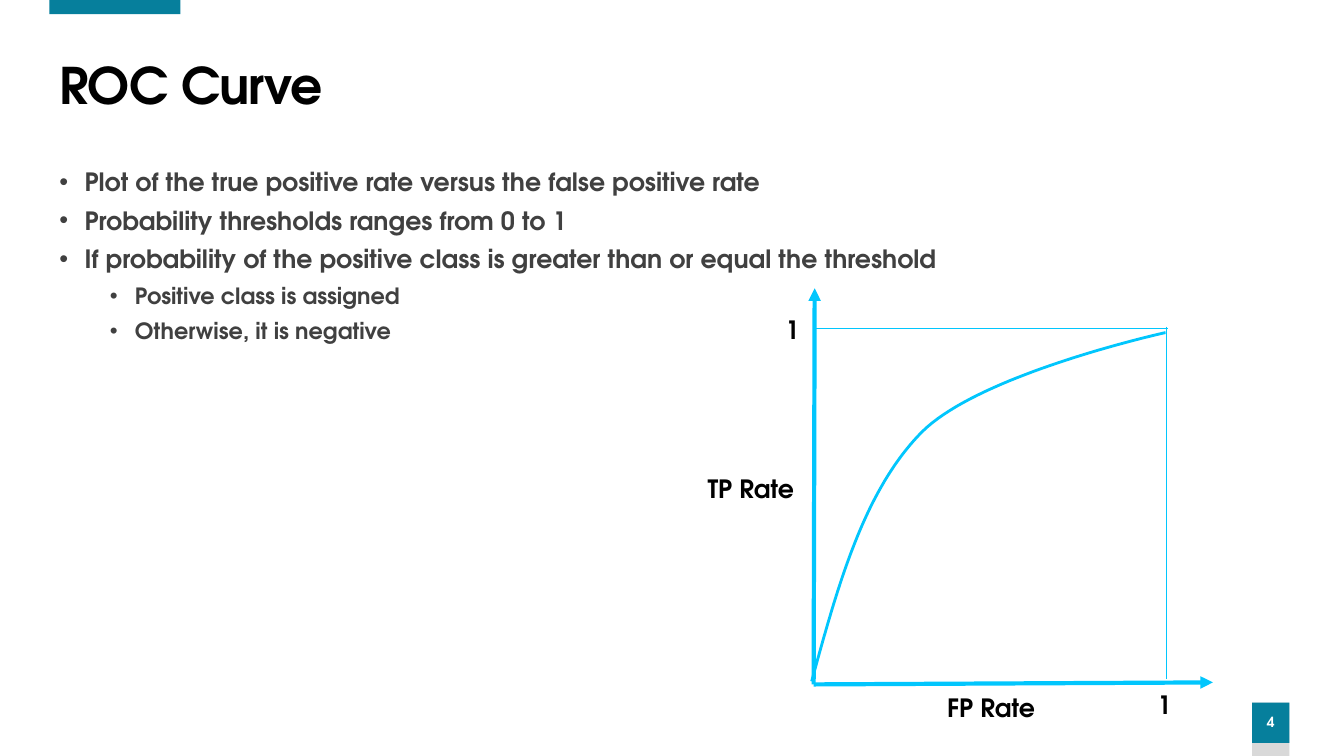
from lxml import etree
from pptx import Presentation
from pptx import util as u
from pptx.dml.color import RGBColor
from pptx.enum import shapes, text
from pptx.oxml import ns

COLORS = {"teal": "067F9C", "gray": "D9D9D9", "cyan": "01C6FD",
          "black": "000000", "body": "404040", "white": "FFFFFF"}
FONT = "TeX Gyre Adventor"
TITLE = "ROC Curve"
PAGE_NUMBER = "4"
BULLETS = [
    (0, "Plot of the true positive rate versus the false positive rate"),
    (0, "Probability thresholds ranges from 0 to 1"),
    (0, "If probability of the positive class is greater than or equal the threshold"),
    (1, "Positive class is assigned"),
    (1, "Otherwise, it is negative"),
]
LEVELS = [{"size": 18, "indent": 0.25}, {"size": 16, "indent": 0.75}]
BARS = [
    ((12.42, 6.97, 0.37, 0.53), "gray"),
    ((0.49, 0, 1.3, 0.14), "teal"),
]
NUMBER_AREA = (12.42, 6.97, 0.37, 0.4)
AXES = [((8.07, 6.79), (8.08, 2.86)), ((8.07, 6.79), (12.03, 6.77))]
LIMITS = [((8.08, 3.26), (11.58, 3.26)), ((11.57, 3.24), (11.57, 6.74))]
LABELS = [
    ("TP Rate", (6.92, 4.65, 1.16, 0.4), "LEFT"),
    ("FP Rate", (8.96, 6.82, 1.74, 0.4), "CENTER"),
    ("1", (11.38, 6.79, 0.65, 0.4), "LEFT"),
    ("1", (7.69, 3.07, 0.65, 0.4), "LEFT"),
]
ROC_SEGMENTS = [
    ((8.05, 6.76), (8.31, 5.81), (8.57, 4.86), (9.15, 4.28)),
    ((9.15, 4.28), (9.74, 3.7), (11.56, 3.3), (11.56, 3.3)),
]
STEPS = 40


def inches(values):
    return [u.Inches(value) for value in values]


def color(name):
    return RGBColor.from_string(COLORS[name])


def write(para, words, size, tint="black", **formats):
    for name, value in formats.items():
        setattr(para, name, value)
    span = para.add_run()
    span.text = words
    for name, value in {"name": FONT, "size": u.Pt(size), "bold": True}.items():
        setattr(span.font, name, value)
    span.font.color.rgb = color(tint)
    return span


def add_text_box(area, anchor="TOP"):
    box = page.shapes.add_textbox(*inches(area))
    box.text_frame.word_wrap = True
    box.text_frame.vertical_anchor = text.MSO_ANCHOR[anchor]
    return box.text_frame


def add_bar(area, fill):
    bar = page.shapes.add_shape(shapes.MSO_SHAPE.RECTANGLE, *inches(area))
    bar.shadow.inherit = False
    bar.fill.solid()
    bar.fill.fore_color.rgb = color(fill)
    bar.line.fill.background()
    return bar


def add_line(start, end, width, arrow=False):
    line = page.shapes.add_connector(
        shapes.MSO_CONNECTOR.STRAIGHT, *inches(start + end))
    line.line.color.rgb = color("cyan")
    line.line.width = u.Pt(width)
    if arrow:
        etree.SubElement(line.line._get_or_add_ln(), ns.qn("a:tailEnd"), type="triangle")
    etree.SubElement(line._element.spPr, ns.qn("a:effectLst"))


def bezier(points, t):
    weights = ((1 - t) ** 3, 3 * t * (1 - t) ** 2, 3 * t * t * (1 - t), t ** 3)
    return [u.Inches(sum(w * p[axis] for w, p in zip(weights, points)))
            for axis in (0, 1)]


deck = Presentation()
deck.slide_width, deck.slide_height = inches((13.33, 7.5))
page = deck.slides.add_slide(deck.slide_layouts[6])

for area, fill in BARS:
    add_bar(area, fill)

number = add_bar(NUMBER_AREA, "teal").text_frame
number.margin_left = number.margin_right = 0
number.vertical_anchor = text.MSO_ANCHOR.MIDDLE
write(number.paragraphs[0], PAGE_NUMBER, 10, "white", line_spacing=0.9,
      space_before=u.Pt(10), alignment=text.PP_ALIGN.CENTER)

title = add_text_box((0.49, 0.55, 12.22, 0.65), "MIDDLE")
span = write(title.paragraphs[0], TITLE, 36, line_spacing=0.9)
span.font._element.set("spc", "-60")

body = add_text_box((0.49, 1.6, 12.22, 5.22))
for index, (level, words) in enumerate(BULLETS):
    para = body.add_paragraph() if index else body.paragraphs[0]
    write(para, words, LEVELS[level]["size"], "body", level=level,
          space_before=u.Pt(3), space_after=u.Pt(3))
    props = para._p.get_or_add_pPr()
    props.set("marL", str(u.Inches(LEVELS[level]["indent"])))
    props.set("indent", str(u.Inches(-0.25)))
    etree.SubElement(props, ns.qn("a:buFont"), typeface="Arial")
    etree.SubElement(props, ns.qn("a:buChar"), char="•")

for start, end in AXES:
    add_line(start, end, 3, arrow=True)
for start, end in LIMITS:
    add_line(start, end, 0.5)

curve_points = [bezier(segment, step / STEPS)
                for segment in ROC_SEGMENTS for step in range(STEPS + 1)]
builder = page.shapes.build_freeform(*curve_points[0])
builder.add_line_segments(curve_points[1:], close=False)
curve = builder.convert_to_shape()
curve.shadow.inherit = False
curve.fill.background()
curve.line.color.rgb = color("cyan")
curve.line.width = u.Pt(2)

for words, area, align in LABELS:
    write(add_text_box(area).paragraphs[0], words, 18,
          alignment=text.PP_ALIGN[align])

deck.save("out.pptx")
